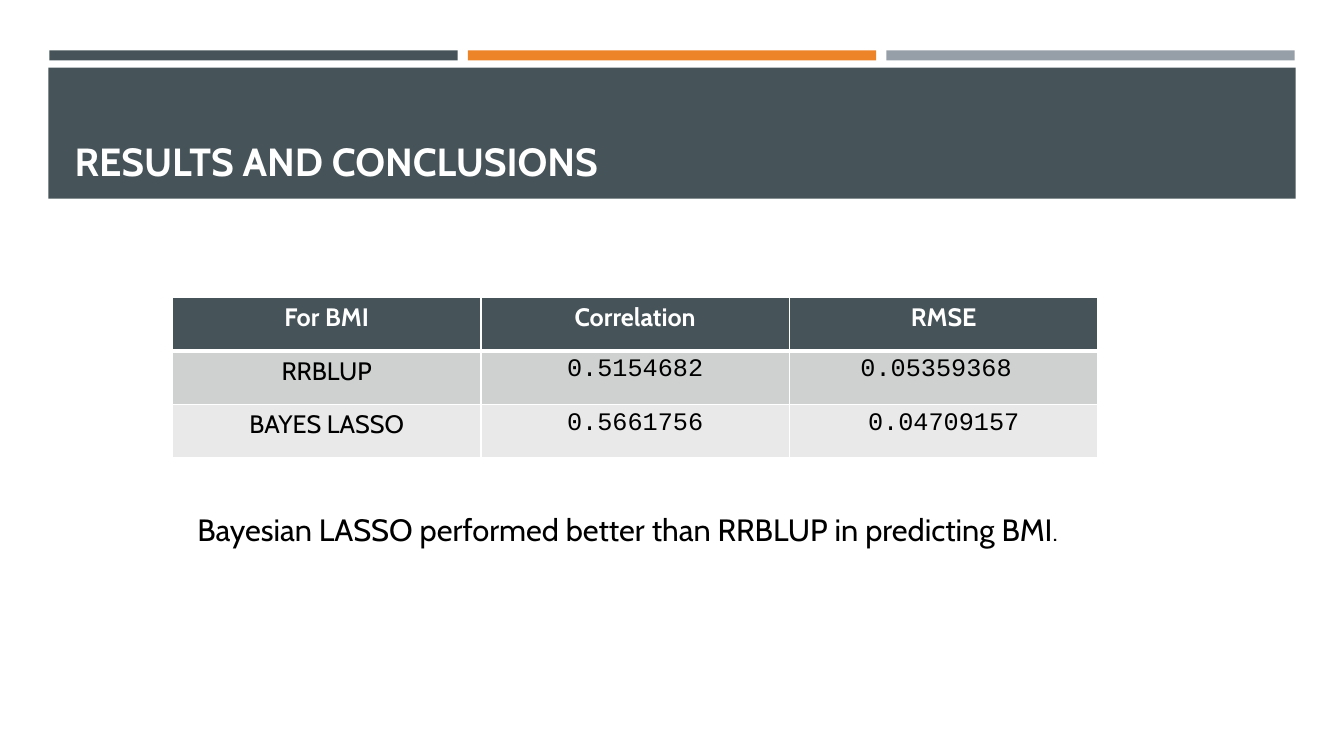
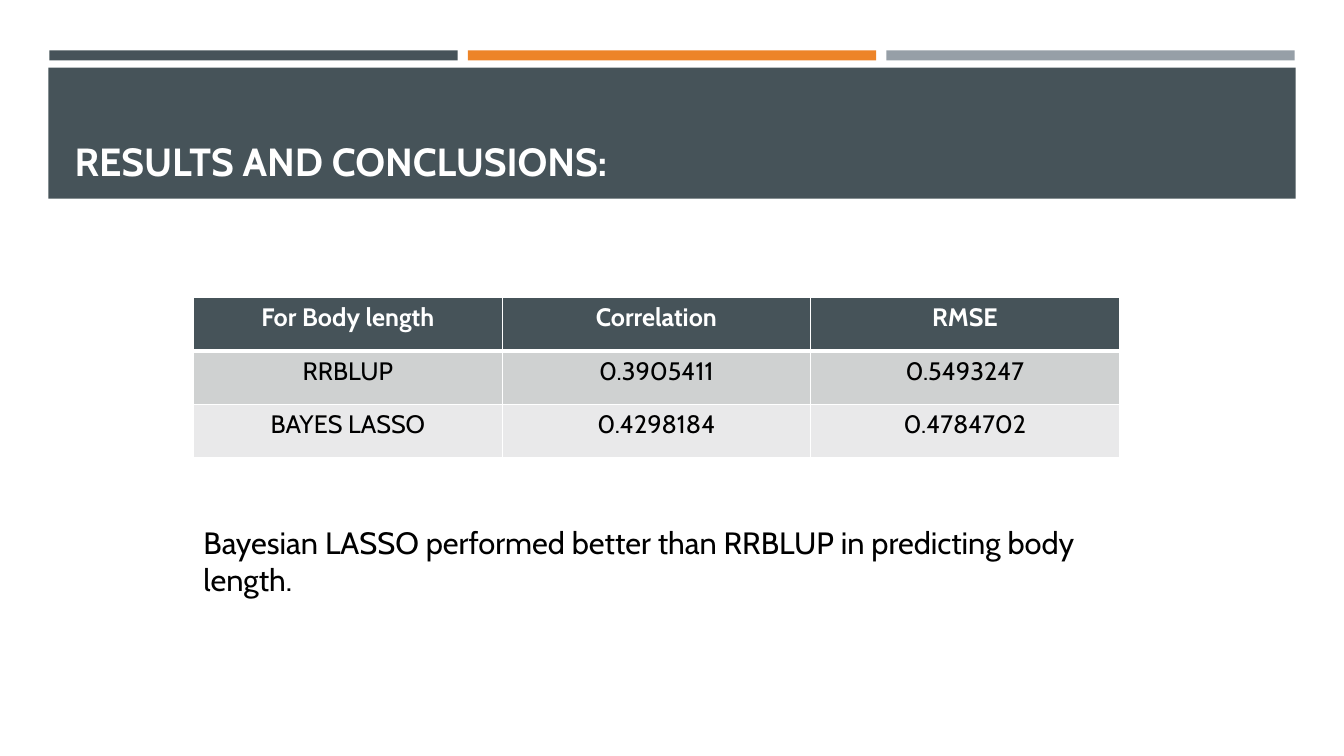
from dataclasses import dataclass

from lxml import etree
from pptx import Presentation
from pptx.dml.color import RGBColor
from pptx.enum import shapes, text
from pptx.oxml import ns
from pptx.util import Inches, Pt


@dataclass(frozen=True)
class Theme:
    slate: str = "465359"
    orange: str = "ED8428"
    gray: str = "969FA7"
    row_dark: str = "CFD1D1"
    row_light: str = "E9E9EA"
    white: str = "FFFFFF"
    black: str = "000000"
    font: str = "Cabin"
    mono: str = "Courier New"
    title_size: int = 28
    table_size: int = 18
    body_size: int = 22


T = Theme()
TITLE_ONLY = 5


def box(left, top, width, height):
    return [Inches(v) for v in (left, top, width, height)]


def style_run(r, size, color, bold=False, font=T.font):
    r.font.name = font
    r.font.size = Pt(size)
    r.font.bold = bold
    r.font.color.rgb = RGBColor.from_string(color)


def add_band(s, at, color):
    sp = s.shapes.add_shape(shapes.MSO_SHAPE.RECTANGLE, *box(*at))
    sp.shadow.inherit = False
    sp.fill.solid()
    sp.fill.fore_color.rgb = RGBColor.from_string(color)
    sp.line.fill.background()


def add_header(s, title, left=0.48, top=0.5, width=12.37):
    # Three accent strips above the title band
    strip, gap = 4.05, 0.1
    for i, color in enumerate((T.slate, T.orange, T.gray)):
        add_band(s, (left + 0.01 + i * (strip + gap), top, strip, 0.1), color)
    add_band(s, (left, top + 0.17, width, 1.3), T.slate)

    # Title, brought in front of the band
    sp = s.shapes.title
    s.shapes.element.append(sp.element)
    sp.left, sp.top, sp.width, sp.height = box(left + 0.16, top + 0.27, 12.06, 1.11)
    tf = sp.text_frame
    tf.text = title
    tf.word_wrap = True
    tf.auto_size = text.MSO_AUTO_SIZE.NONE
    tf.vertical_anchor = text.MSO_ANCHOR.BOTTOM
    p = tf.paragraphs[0]
    p.alignment = text.PP_ALIGN.LEFT
    style_run(p.runs[0], T.title_size, T.white, bold=True)


def set_borders(cell, top=1, bottom=1):
    tcPr = cell._tc.get_or_add_tcPr()
    for side, width in (("L", 1), ("R", 1), ("T", top), ("B", bottom)):
        ln = etree.SubElement(tcPr, ns.qn(f"a:ln{side}"), w=str(Pt(width)))
        fill = etree.SubElement(ln, ns.qn("a:solidFill"))
        etree.SubElement(fill, ns.qn("a:srgbClr"), val=T.white)


def add_results(s, rows, at, value_font):
    table = s.shapes.add_table(len(rows), len(rows[0]), *box(*at)).table
    fills = (T.slate, T.row_dark, T.row_light)
    for i, row in enumerate(rows):
        header = i == 0
        for j, value in enumerate(row):
            cell = table.cell(i, j)
            # Thick rule between header and body
            set_borders(cell, top=3 if i == 1 else 1, bottom=3 if header else 1)
            cell.fill.solid()
            cell.fill.fore_color.rgb = RGBColor.from_string(fills[i])
            cell.text = value
            p = cell.text_frame.paragraphs[0]
            p.alignment = text.PP_ALIGN.CENTER
            style_run(p.runs[0], T.table_size, T.white if header else T.black, header,
                      T.font if header or j == 0 else value_font)


def add_conclusion(s, parts, at):
    tf = s.shapes.add_textbox(*box(*at)).text_frame
    tf.word_wrap = True
    tf.auto_size = text.MSO_AUTO_SIZE.SHAPE_TO_FIT_TEXT
    for words, size in parts:
        r = tf.paragraphs[0].add_run()
        r.text = words
        style_run(r, size, T.black)


def results_slide(prs, title, trait, rrblup, lasso, table_left, conclusion,
                  conclusion_at, value_font=T.font):
    s = prs.slides.add_slide(prs.slide_layouts[TITLE_ONLY])
    add_header(s, title)
    rows = [(f"For {trait}", "Correlation", "RMSE"),
            ("RRBLUP", *rrblup),
            ("BAYES LASSO", *lasso)]
    add_results(s, rows, (table_left, 2.95, 9.18, 1.59), value_font)
    add_conclusion(s, conclusion, conclusion_at)


def main():
    prs = Presentation()
    prs.slide_width, prs.slide_height = Inches(13.33), Inches(7.5)
    finding = "Bayesian LASSO performed better than RRBLUP in predicting "

    # Body mass index
    results_slide(prs, "RESULTS AND CONCLUSIONS", "BMI",
                  ("0.5154682", "0.05359368 "), ("0.5661756", "0.04709157"), 1.71,
                  [(finding + "BMI", T.body_size), (".", T.table_size)],
                  (1.86, 5.02, 10.06, 0.47), T.mono)

    # Body length
    results_slide(prs, "RESULTS AND CONCLUSIONS:", "Body length",
                  ("0.3905411", "0.5493247"), ("0.4298184", "0.4784702"), 1.92,
                  [(finding + "body length.", T.body_size)],
                  (1.92, 5.15, 9.66, 0.47))
    prs.save("out.pptx")


if __name__ == "__main__":
    main()
